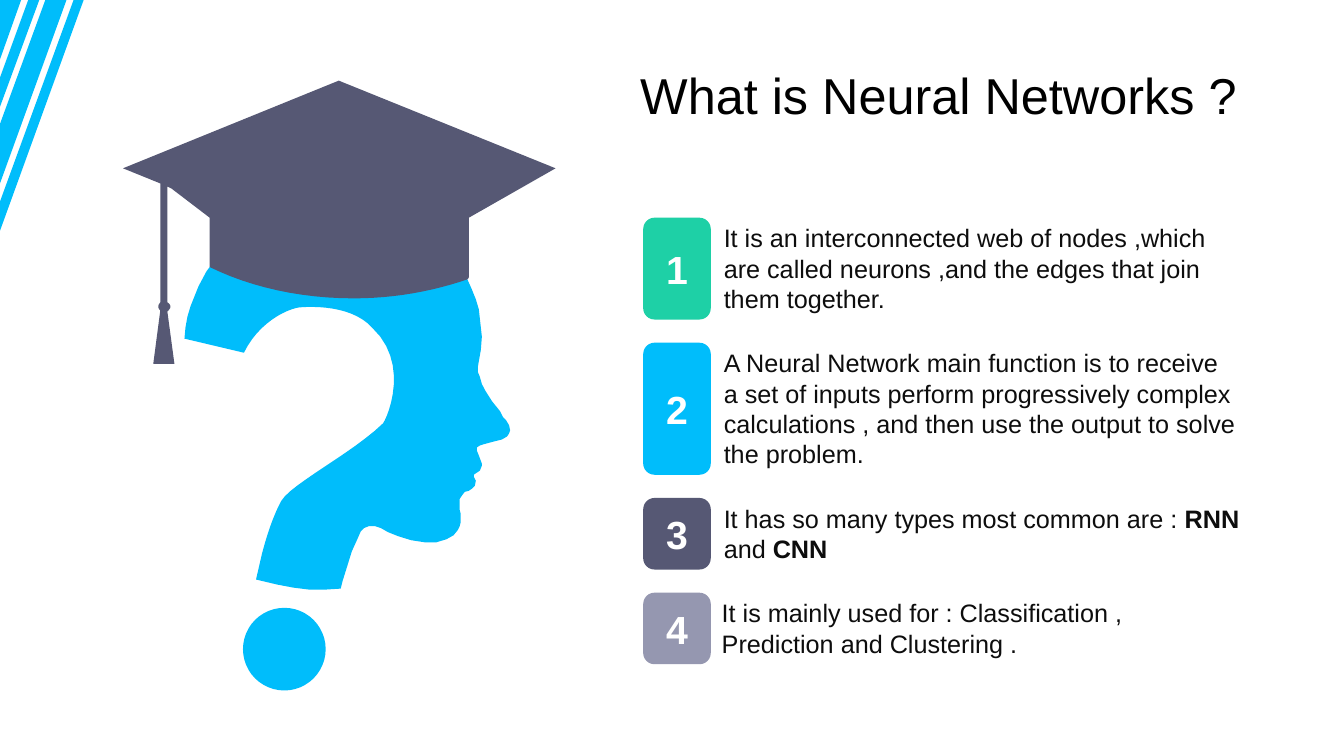
"""Build the neural networks slide with its graduate question mark."""
import pptx
import pptx.dml.color
import pptx.enum.shapes
import pptx.enum.text
import pptx.util

Inches = pptx.util.Inches
Kind = pptx.enum.shapes.MSO_SHAPE
Align = pptx.enum.text.PP_ALIGN
Anchor = pptx.enum.text.MSO_ANCHOR
Fit = pptx.enum.text.MSO_AUTO_SIZE

HUES = {
    "sky": "00BDFB", "slate": "565874", "mint": "1ED0A6", "mist": "9597B0",
    "white": "FFFFFF", "black": "000000", "ink": "0D0D0D",
}

HEAD = [
    (3.6, 2.1), (3.73, 2.13), (4.04, 2.24), (4.22, 2.34), (4.38, 2.46),
    (4.46, 2.54), (4.58, 2.69), (4.64, 2.78), (4.68, 2.87), (4.72, 2.97),
    (4.75, 3.07), (4.78, 3.34), (4.77, 3.47), (4.74, 3.64), (4.74, 3.69),
    (4.76, 3.74), (4.78, 3.81), (4.81, 3.87), (4.88, 3.98), (4.96, 4.08),
    (4.99, 4.14), (5.02, 4.17), (5.05, 4.22), (5.06, 4.27), (5.05, 4.3),
    (5.03, 4.33), (4.98, 4.36), (4.9, 4.38), (4.79, 4.41), (4.76, 4.42),
    (4.73, 4.44), (4.73, 4.47), (4.75, 4.52), (4.78, 4.6), (4.78, 4.62),
    (4.76, 4.67), (4.7, 4.71), (4.7, 4.73), (4.72, 4.77), (4.71, 4.82),
    (4.68, 4.85), (4.65, 4.87), (4.61, 4.88), (4.58, 4.92), (4.56, 4.95),
    (4.56, 5.06), (4.57, 5.1), (4.57, 5.18), (4.56, 5.22), (4.54, 5.26),
    (4.5, 5.31), (4.43, 5.35), (4.33, 5.38), (4.21, 5.38), (4.08, 5.36),
    (3.95, 5.32), (3.85, 5.28), (3.78, 5.24), (3.72, 5.22), (3.66, 5.22),
    (3.61, 5.24), (3.58, 5.27), (3.54, 5.36), (3.49, 5.47), (3.45, 5.6),
    (3.4, 5.76), (3.38, 5.84), (3.22, 5.85), (3.07, 5.85), (2.91, 5.83),
    (2.75, 5.8), (2.54, 5.75), (2.6, 5.49),
    (2.65, 5.3, 2.71, 5.12, 2.79, 4.97), (2.89, 4.8, 3.49, 4.5, 3.8, 4.2),
    (3.86, 4.11, 4.06, 3.59, 3.69, 3.25), (3.53, 3.07, 3.22, 3.03, 2.97, 3.05),
    (2.83, 3.07, 2.56, 3.21, 2.42, 3.5), (1.83, 3.36), (1.84, 3.25),
    (1.86, 3.14), (1.89, 3.04), (1.97, 2.84), (2.05, 2.69), (2.12, 2.6),
    (2.26, 2.45), (2.43, 2.32), (2.62, 2.21), (2.83, 2.14), (3.06, 2.1),
    (3.19, 2.08), (3.32, 2.08), (3.46, 2.09),
]
HAT = [
    (3.36, 0.8), (1.22, 1.67), (1.59, 1.82), (1.59, 3),
    (1.58, 3.01, 1.57, 3.03, 1.57, 3.04), (1.57, 3.06, 1.58, 3.07, 1.59, 3.08),
    (1.52, 3.61), (1.73, 3.61), (1.66, 3.09),
    (1.68, 3.07, 1.69, 3.06, 1.69, 3.04), (1.69, 3.03, 1.68, 3.01, 1.66, 3),
    (1.66, 1.85), (1.7, 1.87), (2.08, 2.16), (2.08, 2.65),
    (2.49, 2.85, 2.98, 2.96, 3.51, 2.96), (3.91, 2.96, 4.29, 2.89, 4.64, 2.77),
    (4.65, 2.75), (4.65, 2.16), (5.51, 1.67),
]
BANDS = [
    [(0.73, 0), (0.83, 0), (0, 2.29), (0, 2)],
    [(0.39, 0), (0, 1.06), (0, 0.77), (0.28, 0)],
    [(0.66, 0), (0, 1.82), (0, 1.23), (0.45, 0)],
    [(0, 0), (0.21, 0), (0, 0.59)],
]
FACTS = [
    ("mint", 3, 7.08, ["It is an interconnected web of nodes ,which are called "
                       "neurons ,and the edges that join them together."]),
    ("sky", 4, 7.08, ["A Neural Network main function is to receive a set of inputs "
                      "perform progressively complex calculations , and then use "
                      "the output to solve the problem."]),
    ("slate", 2, 7.08, ["It has so many types most common are : ", "RNN", " and ", "CNN"]),
    ("mist", 2, 7.06, ["It is mainly used for : Classification , "
                       "Prediction and Clustering ."]),
]


def trace(nodes, steps=12):
    """Turn nodes, two numbers for a line or six for a curve, into points."""
    spots = []
    for node in nodes:
        if len(node) == 2:
            spots.append(node)
            continue
        ends = [spots[-1], node[:2], node[2:4], node[4:]]
        for step in range(1, steps + 1):
            t = step / steps
            parts = ((1 - t) ** 3, 3 * t * (1 - t) ** 2, 3 * t * t * (1 - t), t ** 3)
            spots.append(tuple(sum(p * end[i] for p, end in zip(parts, ends))
                               for i in (0, 1)))
    return [(Inches(x), Inches(y)) for x, y in spots]


def write(frame, *texts, size=18, hue="ink", bold=False, align=Align.LEFT,
          anchor=Anchor.TOP, font="Arial"):
    """Fill a frame with runs; every second run flips the bold."""
    frame.word_wrap = True
    frame.vertical_anchor = anchor
    line = frame.paragraphs[0]
    line.alignment = align
    for i, text in enumerate(texts):
        run = line.add_run()
        run.text = text
        run.font.name = font
        run.font.size = pptx.util.Pt(size)
        run.font.bold = bold != (i % 2 == 1)
        run.font.color.rgb = pptx.dml.color.RGBColor.from_string(HUES[hue])


class Page:
    """Hold the slide and draw each kind of element on it."""

    def __init__(self, slide):
        """Keep the shapes of the slide."""
        self.shapes = slide.shapes

    def paint(self, shape, hue):
        """Give a shape a flat fill."""
        shape.shadow.inherit = False
        shape.fill.solid()
        shape.fill.fore_color.rgb = pptx.dml.color.RGBColor.from_string(HUES[hue])
        shape.line.fill.background()
        return shape

    def form(self, kind, hue, *box):
        """Draw a preset shape."""
        return self.paint(self.shapes.add_shape(kind, *map(Inches, box)), hue)

    def outline(self, hue, *loops):
        """Draw closed outlines as one shape."""
        pen = None
        for loop in map(trace, loops):
            if pen is None:
                pen = self.shapes.build_freeform(*loop[0], scale=1)
            else:
                pen.move_to(*loop[0])
            pen.add_line_segments(loop[1:], close=True)
        return self.paint(pen.convert_to_shape(), hue)

    def label(self, box, *texts, **style):
        """Add a text box."""
        frame = self.shapes.add_textbox(*map(Inches, box)).text_frame
        write(frame, *texts, **style)
        frame.auto_size = Fit.SHAPE_TO_FIT_TEXT
        return frame


def main():
    """Draw the slide and save it."""
    deck = pptx.Presentation()
    deck.slide_width, deck.slide_height = Inches(13.33), Inches(7.5)
    page = Page(deck.slides.add_slide(deck.slide_layouts[6]))

    page.outline("sky", *BANDS)
    page.outline("sky", HEAD)
    page.form(Kind.OVAL, "sky", 2.41, 6.03, 0.82, 0.82)
    page.outline("slate", HAT)

    title = page.label((6.3, 0.64, 6.09, 0.61), "What is Neural Networks ?",
                       size=36, hue="black")
    title.margin_left, title.margin_right = Inches(0.05), Inches(0.03)
    title.margin_top = title.margin_bottom = 0

    top, gap = 2.16, 0.23
    for count, (hue, lines, left, texts) in enumerate(FACTS, 1):
        height = 0.11 + 0.3 * lines
        badge = page.form(Kind.ROUNDED_RECTANGLE, hue, 6.38, top, 0.67, height)
        write(badge.text_frame, str(count), size=28, hue="white", bold=True,
              align=Align.CENTER, anchor=Anchor.MIDDLE)
        page.label((left, top, 5.31, height), *texts)
        top += height + gap

    deck.save("out.pptx")


if __name__ == "__main__":
    main()
